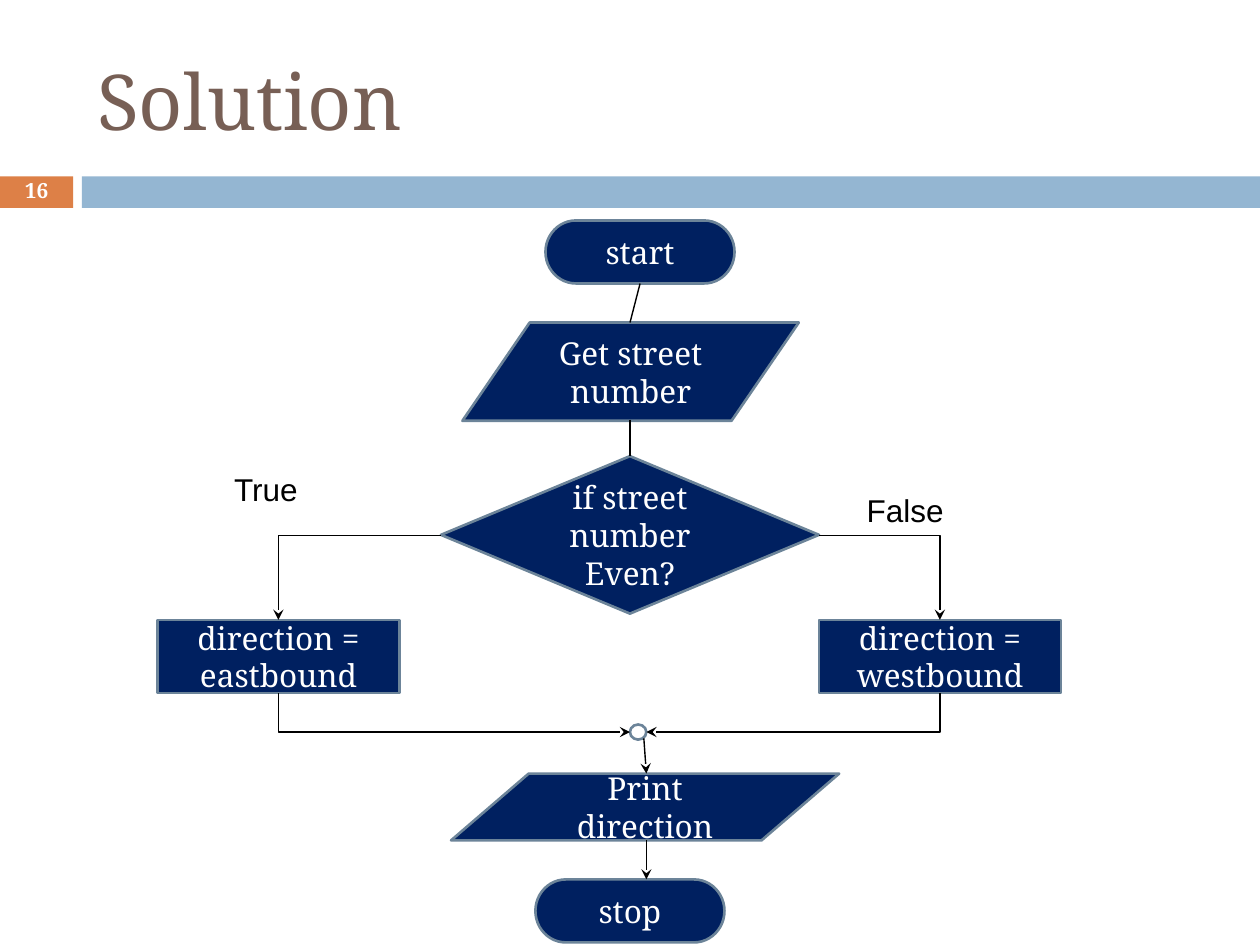
import pptx
import pptx.util
import pptx.dml.color
import pptx.enum.shapes
import pptx.enum.text
import pptx.oxml.ns
import lxml.etree

Inches, Pt = pptx.util.Inches, pptx.util.Pt
SHAPE = pptx.enum.shapes.MSO_SHAPE
LINK = pptx.enum.shapes.MSO_CONNECTOR
ALIGN = pptx.enum.text.PP_ALIGN
ANCHOR = pptx.enum.text.MSO_ANCHOR
qn = pptx.oxml.ns.qn

# Content
COLORS = {"title": "775F55", "orange": "DD8047", "blue": "94B6D2",
          "navy": "002060", "edge": "6C8499", "white": "FFFFFF", "black": "000000"}
SERIF, SANS = "Noto Serif", "Arial"
TITLE = ("Solution", (0.67, 0.25, 8.92, 1.08))
BARS = [("orange", (0, 1.4, 0.58, 0.25)), ("blue", (0.65, 1.4, 9.35, 0.25))]
NODES = [
    ("start", SHAPE.FLOWCHART_TERMINATOR, (4.33, 1.75, 1.5, 0.5)),
    ("Get street number", SHAPE.FLOWCHART_DATA, (3.67, 2.56, 2.67, 0.78)),
    ("if street number Even?", SHAPE.FLOWCHART_DECISION, (3.5, 3.62, 3, 1.25)),
    ("direction = eastbound", SHAPE.RECTANGLE, (1.25, 4.92, 1.92, 0.58)),
    ("direction = westbound", SHAPE.RECTANGLE, (6.5, 4.92, 1.92, 0.58)),
    ("", SHAPE.FLOWCHART_CONNECTOR, (5, 5.75, 0.13, 0.12)),
    ("Print direction", SHAPE.FLOWCHART_DATA, (3.58, 6.14, 3.08, 0.53)),
    ("stop", SHAPE.FLOWCHART_TERMINATOR, (4.25, 6.98, 1.5, 0.5)),
]
# Start, end, first direction of the route, arrowhead
LINKS = [
    ((5.08, 2.25), (5, 2.56), "straight", False),
    ((5, 3.33), (5, 3.62), "straight", False),
    ((3.5, 4.25), (2.21, 4.92), "across", True),
    ((6.5, 4.25), (7.46, 4.92), "across", True),
    ((2.21, 5.5), (5, 5.81), "down", True),
    ((7.46, 5.5), (5.13, 5.81), "down", True),
    ((5.11, 5.86), (5.13, 6.14), "straight", True),
    ((5.13, 6.67), (5.13, 6.98), "straight", True),
]
LABELS = [("False", (6.78, 3.85, 1.13, 0.4)), ("True", (1.76, 3.68, 1.13, 0.4))]
PAGE = ("16", (0, 1.39, 0.58, 0.27))


def rgb(name):
    return pptx.dml.color.RGBColor.from_string(COLORS[name])


def box(at):
    return [Inches(v) for v in at]


def write(sp, text, size=18, font=SERIF, color="white", bold=False,
          align=ALIGN.CENTER, anchor=ANCHOR.MIDDLE, spacing=None):
    tf = sp.text_frame
    tf.word_wrap = True
    tf.auto_size = pptx.enum.text.MSO_AUTO_SIZE.NONE
    tf.vertical_anchor = anchor
    p = tf.paragraphs[0]
    p.alignment = align
    p.line_spacing = spacing
    r = p.add_run()
    r.text = text
    r.font.size, r.font.name, r.font.bold = Pt(size), font, bold
    r.font.color.rgb = rgb(color)


def add_shape(kind, at, fill=None, edge=None):
    sp = s.shapes.add_shape(kind, *box(at))
    sp.shadow.inherit = False
    if fill:
        sp.fill.solid()
        sp.fill.fore_color.rgb = rgb(fill)
    else:
        sp.fill.background()
    if edge:
        sp.line.color.rgb = rgb(edge)
        sp.line.width = Pt(1.5)
    else:
        sp.line.fill.background()
    return sp


def add_link(start, end, route, arrow):
    (x1, y1), (x2, y2) = start, end
    kind = LINK.STRAIGHT if route == "straight" else LINK.ELBOW
    if route == "down":
        # A route that leaves downward is a turned elbow about the same centre
        w, h = abs(y2 - y1), abs(x2 - x1)
        left, top = (x1 + x2 - w) / 2, (y1 + y2 - h) / 2
        ends = (left, top, left + w, top + h)
        if x2 > x1:
            ends = (left + w, top, left, top + h)
    else:
        ends = (x1, y1, x2, y2)
    c = s.shapes.add_connector(kind, *box(ends))
    c.line.color.rgb = rgb("black")
    c.line.width = Pt(0.79)
    props = c._element.spPr
    if route != "straight":
        props.find(qn("a:prstGeom")).set("prst", "bentConnector2")
    if route == "down":
        turn = 270 if x2 > x1 else 90
        props.find(qn("a:xfrm")).set("rot", str(turn * 60000))
    if arrow:
        lxml.etree.SubElement(c.line._get_or_add_ln(), qn("a:tailEnd"), type="stealth")
    lxml.etree.SubElement(props, qn("a:effectLst"))


prs = pptx.Presentation()
prs.slide_width, prs.slide_height = Inches(10), Inches(7.5)
s = prs.slides.add_slide(prs.slide_layouts[5])

# Title and bars
for color, at in BARS:
    add_shape(SHAPE.RECTANGLE, at, fill=color)
text, at = TITLE
title = s.shapes.title
title.left, title.top, title.width, title.height = box(at)
write(title, text, size=44, color="title", align=ALIGN.LEFT)

# Flowchart
for text, kind, at in NODES:
    sp = add_shape(kind, at, fill="navy" if text else None, edge="edge")
    if text:
        write(sp, text)
for link in LINKS:
    add_link(*link)

# Page number and branch labels
text, at = PAGE
write(s.shapes.add_textbox(*box(at)), text, size=11.9, bold=True, spacing=0.8)
for text, at in LABELS:
    write(s.shapes.add_textbox(*box(at)), text, font=SANS, color="black",
          align=ALIGN.LEFT, anchor=ANCHOR.TOP)

prs.save("out.pptx")
